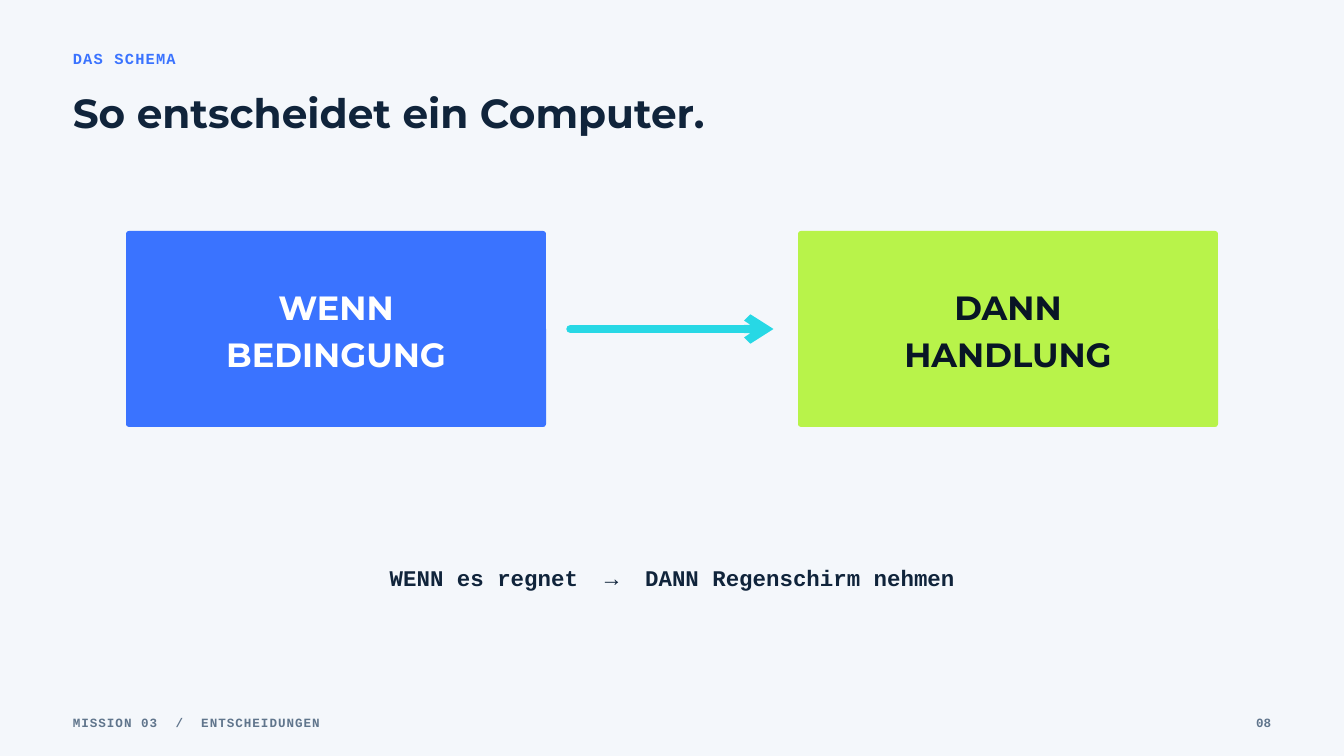
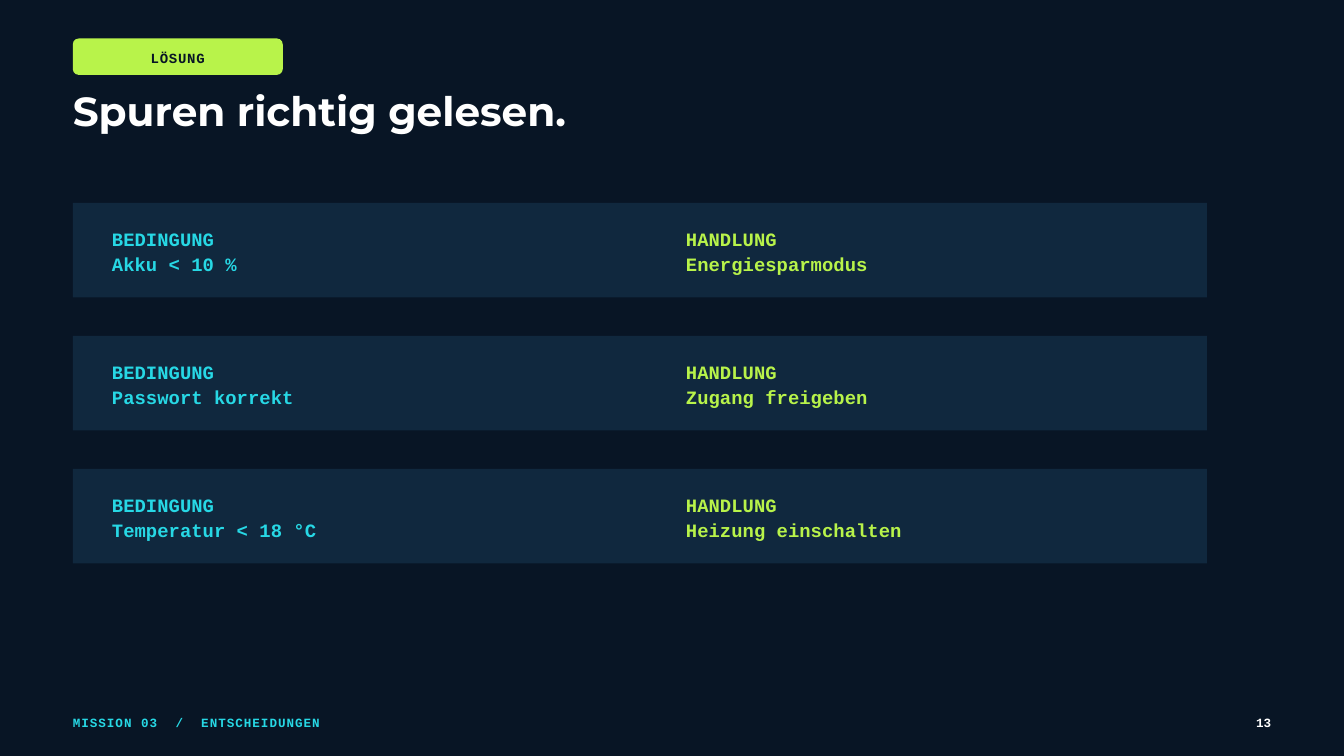
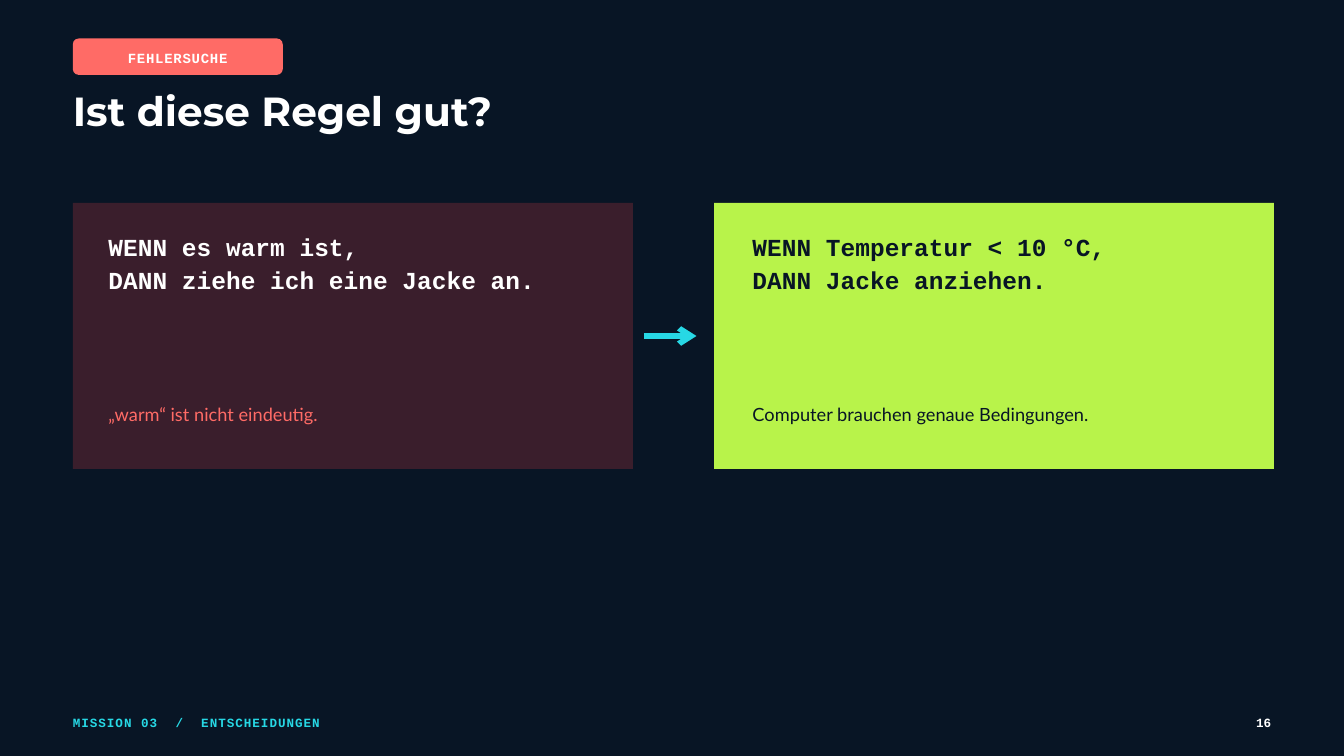
from dataclasses import dataclass

from lxml import etree
from pptx import Presentation
from pptx import util as u
from pptx.dml.color import RGBColor
from pptx.enum import shapes, text
from pptx.oxml.ns import qn


@dataclass(frozen=True)
class Type:
    face: str
    size: float
    line: float
    bold: bool = True
    tracking: float = 0


class Theme:
    light, night, ink, slate = "F4F7FB", "081525", "10243B", "60758C"
    white, blue, cyan, lime = "FFFFFF", "3A73FF", "27D8E5", "B8F34A"
    coral, navy, wine = "FF6B66", "10283E", "3A1E2C"
    kicker = Type("Courier New", 16.5, 23.1, tracking=1.3)
    badge = Type("Courier New", 15, 21, tracking=0.8)
    title = Type("Montserrat", 43.5, 45.2)
    card = Type("Montserrat", 36, 50.4)
    example = Type("Courier New", 24, 33.6)
    clue = Type("Courier New", 20.25, 27.3)
    rule = Type("Courier New", 26.25, 35.4)
    note = Type("Lato", 19.5, 27.3, bold=False)
    footer = Type("Courier New", 13.5, 18.9, tracking=1.1)
    number = Type("Courier New", 13.5, 18.9)


WIDTH, HEIGHT = 20, 11.25
COLUMNS = 96
CELL = WIDTH / COLUMNS
MARGIN = 5.2
BODY_TOP = 14.5
LEFT, CENTER, RIGHT = text.PP_ALIGN.LEFT, text.PP_ALIGN.CENTER, text.PP_ALIGN.RIGHT

FOOTER = ("MISSION 03", "/", "ENTSCHEIDUNGEN")
SCHEMA = {
    "kicker": "DAS SCHEMA",
    "title": "So entscheidet ein Computer.",
    "cards": [
        (["WENN", "BEDINGUNG"], Theme.blue, Theme.white),
        (["DANN", "HANDLUNG"], Theme.lime, Theme.night),
    ],
    "example": ("WENN es regnet", "→", "DANN Regenschirm nehmen"),
    "number": "08",
}
SOLUTION = {
    "badge": ("LÖSUNG", Theme.lime, Theme.night),
    "title": "Spuren richtig gelesen.",
    "clues": [
        ("Akku < 10 %", "Energiesparmodus"),
        ("Passwort korrekt", "Zugang freigeben"),
        ("Temperatur < 18 °C", "Heizung einschalten"),
    ],
    "number": "13",
}
DEBUGGING = {
    "badge": ("FEHLERSUCHE", Theme.coral, Theme.white),
    "title": "Ist diese Regel gut?",
    "rules": [
        (["WENN es warm ist,", "DANN ziehe ich eine Jacke an."],
         "„warm“ ist nicht eindeutig.", Theme.wine, Theme.white, Theme.coral, 2.55),
        (["WENN Temperatur < 10 °C,", "DANN Jacke anziehen."],
         "Computer brauchen genaue Bedingungen.", Theme.lime, Theme.night, Theme.night, 2.75),
    ],
    "number": "16",
}


def grid(*cells):
    return [u.Inches(cell * CELL) for cell in cells]


def rgb(color):
    return RGBColor.from_string(color)


def add_span(para, words, tracking):
    span = para.add_run()
    span.text = words
    if tracking:
        span._r.get_or_add_rPr().set("spc", str(round(tracking * 100)))


def write(shape, lines, style, color, align=LEFT, inset=0, foot=0):
    frame = shape.text_frame
    frame.word_wrap = True
    frame.margin_left = frame.margin_right = frame.margin_top = u.Inches(inset)
    frame.margin_bottom = u.Inches(inset + foot)
    wide_gap = 0.6 * style.size + 2 * style.tracking
    for index, line in enumerate(lines):
        para = frame.add_paragraph() if index else frame.paragraphs[0]
        para.alignment = align
        para.line_spacing = u.Pt(style.line)
        font = para.font
        font.name, font.size, font.bold = style.face, u.Pt(style.size), style.bold
        font.color.rgb = rgb(color)
        parts = (line,) if isinstance(line, str) else line
        for place, part in enumerate(parts):
            if place:
                add_span(para, " ", wide_gap)
            add_span(para, part, style.tracking)


def add_text(page, area, lines, style, color, align=LEFT):
    box = page.shapes.add_textbox(*grid(*area))
    box.text_frame.vertical_anchor = text.MSO_ANCHOR.TOP
    write(box, lines, style, color, align)


def add_panel(page, area, fill, radius=0):
    kind = shapes.MSO_SHAPE.ROUNDED_RECTANGLE if radius else shapes.MSO_SHAPE.RECTANGLE
    panel = page.shapes.add_shape(kind, *grid(*area))
    if radius:
        panel.adjustments[0] = radius / min(area[2:])
    panel.shadow.inherit = False
    panel.fill.solid()
    panel.fill.fore_color.rgb = rgb(fill)
    panel.line.fill.background()
    panel.text_frame.vertical_anchor = text.MSO_ANCHOR.MIDDLE
    return panel


def add_arrow(page, start, end, row, weight, cap="flat"):
    arrow = page.shapes.add_connector(
        shapes.MSO_CONNECTOR.STRAIGHT, *grid(start, row, end, row))
    arrow.line.color.rgb = rgb(Theme.cyan)
    arrow.line.width = u.Pt(weight)
    properties = arrow._element.spPr
    outline = properties.find(qn("a:ln"))
    outline.set("cap", cap)
    etree.SubElement(outline, qn("a:tailEnd"), type="arrow")
    etree.SubElement(properties, qn("a:effectLst"))


def add_page(deck, content, dark=True):
    page = deck.slides.add_slide(deck.slide_layouts[6])
    fill = page.background.fill
    fill.solid()
    fill.fore_color.rgb = rgb(Theme.night if dark else Theme.light)
    if "badge" in content:
        label, color, ink = content["badge"]
        badge = add_panel(page, (MARGIN, 2.75, 15, 2.6), color, radius=0.42)
        write(badge, [label], Theme.badge, ink, CENTER, inset=0.06)
    else:
        add_text(page, (MARGIN, 3.3, 20, 1.5), [content["kicker"]], Theme.kicker, Theme.blue)
    add_text(page, (MARGIN, 6.6 if dark else 6.75, 60, 3.1), [content["title"]],
             Theme.title, Theme.white if dark else Theme.ink)
    add_text(page, (MARGIN, 50.85, 31, 1.2), [FOOTER], Theme.footer,
             Theme.cyan if dark else Theme.slate)
    add_text(page, (87, 50.85, 3.8, 1.2), [content["number"]], Theme.number,
             Theme.white if dark else Theme.slate, RIGHT)
    return page


def build_schema(deck):
    page = add_page(deck, SCHEMA, dark=False)
    width, height, top = 30, 14, 16.5
    for index, (lines, fill, ink) in enumerate(SCHEMA["cards"]):
        card = add_panel(page, (9 + 48 * index, top, width, height), fill, radius=0.22)
        write(card, lines, Theme.card, ink, CENTER, inset=0.06, foot=0.06)
    add_arrow(page, 40.75, 55.25, top + height / 2, 9, cap="rnd")
    add_text(page, (15, 40, 66, 2.1), [SCHEMA["example"]], Theme.example, Theme.ink, CENTER)


def build_solution(deck):
    page = add_page(deck, SOLUTION)
    columns = [("BEDINGUNG", 8, Theme.cyan), ("HANDLUNG", 49, Theme.lime)]
    for index, clue in enumerate(SOLUTION["clues"]):
        top = BODY_TOP + 9.5 * index
        add_panel(page, (MARGIN, top, 81, 6.75), Theme.navy)
        for (heading, left, color), value in zip(columns, clue):
            add_text(page, (left, top + 1.55, 32.5, 3.6), [heading, value], Theme.clue, color)


def build_debugging(deck):
    page = add_page(deck, DEBUGGING)
    width, height = 40, 19
    for index, (lines, note, fill, ink, note_ink, indent) in enumerate(DEBUGGING["rules"]):
        left = MARGIN + 45.8 * index
        add_panel(page, (left, BODY_TOP, width, height), fill)
        add_text(page, (left + indent, BODY_TOP + 1.8, 34.5, 4.65), lines, Theme.rule, ink)
        add_text(page, (left + indent, BODY_TOP + 14.05, 34, 1.75), [note], Theme.note, note_ink)
    add_arrow(page, 46, 49.75, BODY_TOP + height / 2, 6)


def main():
    deck = Presentation()
    deck.slide_width, deck.slide_height = u.Inches(WIDTH), u.Inches(HEIGHT)
    for build in (build_schema, build_solution, build_debugging):
        build(deck)
    deck.save("out.pptx")


if __name__ == "__main__":
    main()
